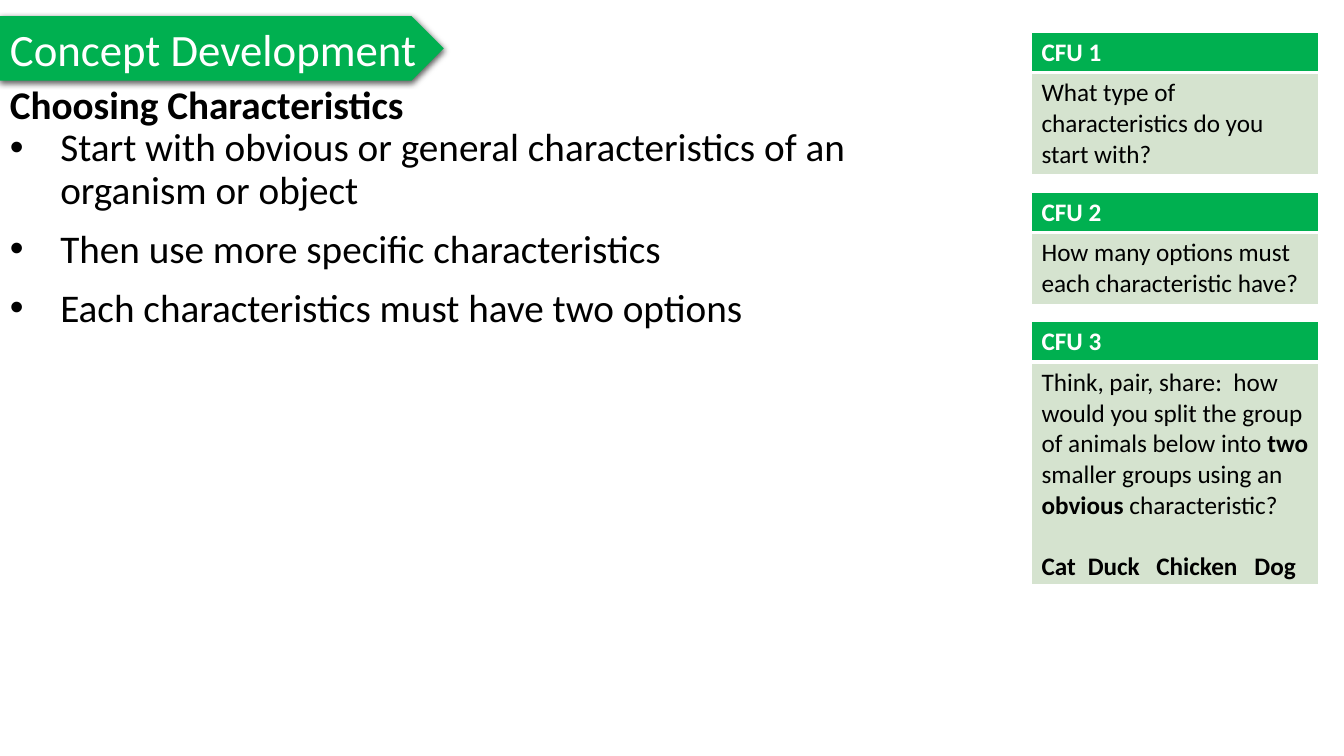
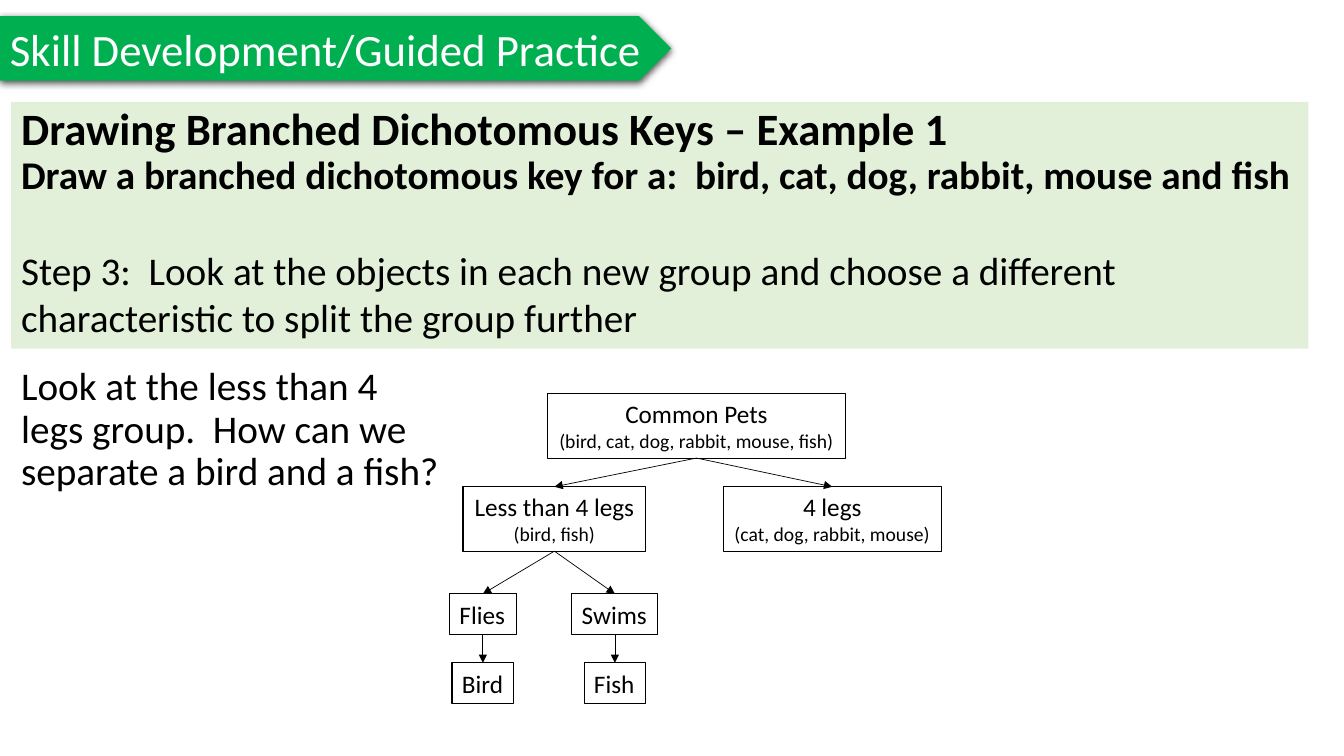
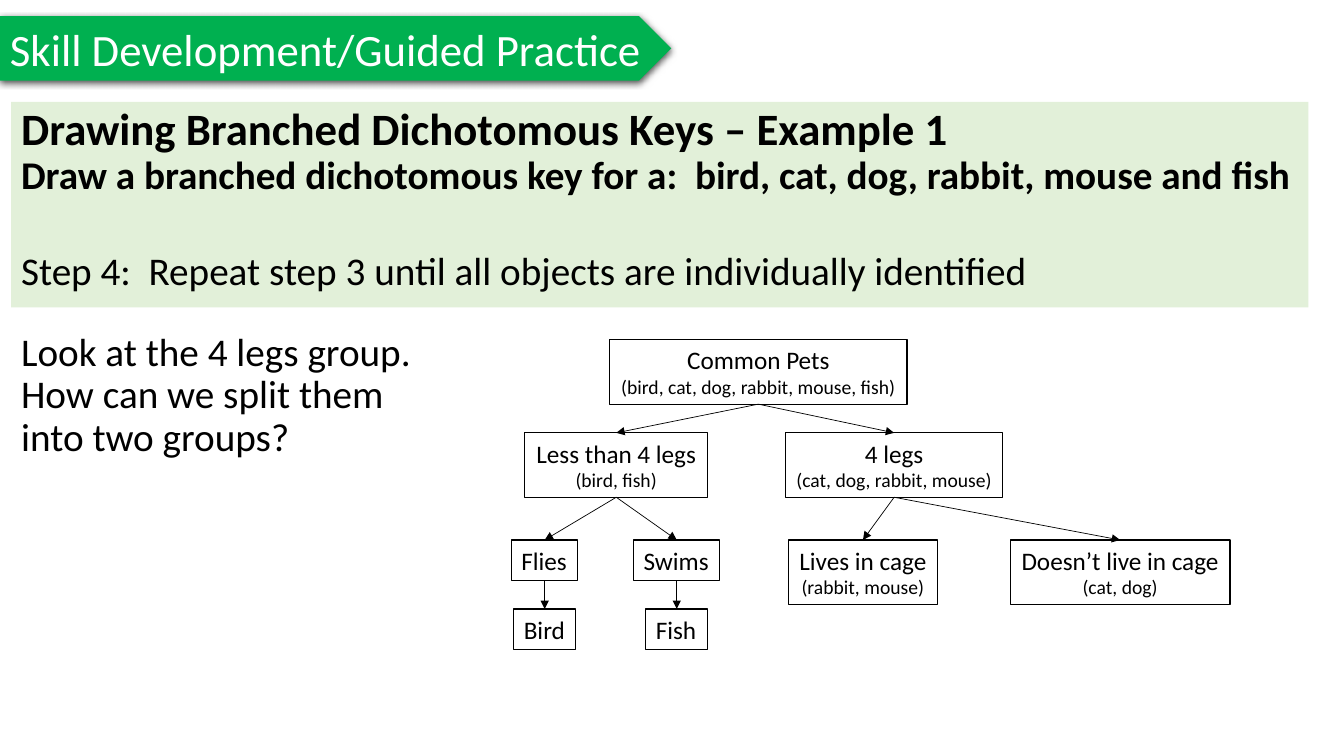
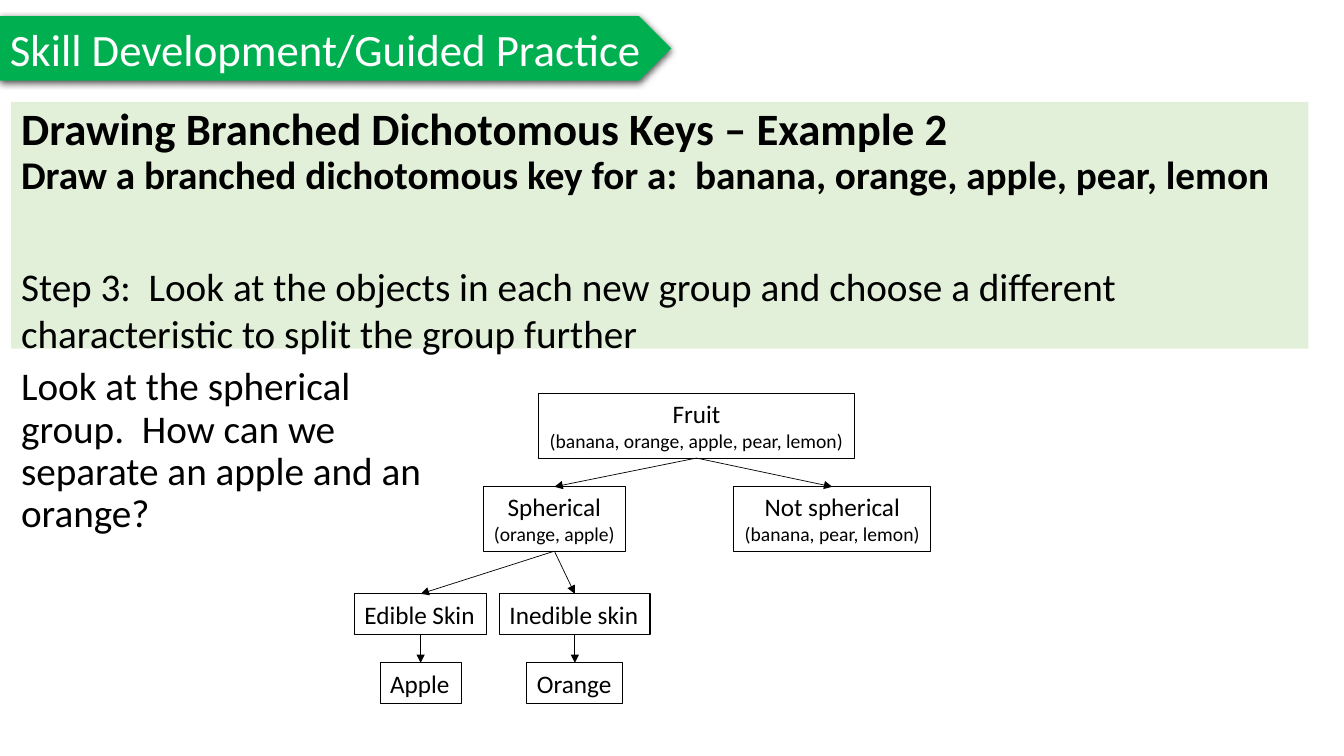
"""Build four lesson slides on branched dichotomous keys."""
from dataclasses import dataclass
from typing import Optional

from lxml.etree import SubElement
from pptx import Presentation
from pptx.dml.color import RGBColor
from pptx.enum.shapes import MSO_CONNECTOR as Connector, MSO_SHAPE as Shape
from pptx.enum.text import MSO_ANCHOR as Anchor, MSO_AUTO_SIZE as AutoSize, PP_ALIGN as Align
from pptx.oxml.ns import qn
from pptx.util import Pt

COLORS = {"green": "00B050", "panel": "E2F0D9", "cell": "D5E3CF",
          "black": "000000", "white": "FFFFFF"}
FONT = "Calibri"
LEVEL_TOPS = (0, 66.5, 143, 192.3)
MARGIN = 8
PANEL_TOP = 72.7
CARD_LEFT, CARD_WIDTH, HEADER_HEIGHT = 736.8, 205, 28


@dataclass(frozen=True)
class Node:
    label: str
    detail: str
    offset: float
    width: float
    level: int
    parent: Optional[int] = None


@dataclass(frozen=True)
class Card:
    heading: str
    body: str
    top: float
    height: float
    items: tuple[str, ...] = ()


@dataclass(frozen=True)
class Practice:
    example: int
    objects: str
    step: str
    step_gap: float
    panel_height: float
    question: str
    question_top: float
    tree_center: float
    tree_top: float
    nodes: tuple[Node, ...]


PETS = (
    Node("Common Pets", "(bird, cat, dog, rabbit, mouse, fish)", 0, 212.4, 0),
    Node("Less than 4 legs", "(bird, fish)", -101.5, 130.5, 1, 0),
    Node("4 legs", "(cat, dog, rabbit, mouse)", 97, 155.5, 1, 0),
    Node("Flies", "", -152.6, 47.5, 2, 1),
    Node("Swims", "", -58.3, 61.5, 2, 1),
    Node("Bird", "", -152.6, 44, 3, 3),
    Node("Fish", "", -58.3, 44, 3, 4),
)
CAGES = (
    Node("Lives in cage", "(rabbit, mouse)", 74.7, 106.7, 2, 2),
    Node("Doesn’t live in cage", "(cat, dog)", 258.4, 157, 2, 2),
)
FRUIT = (
    Node("Fruit", "(banana, orange, apple, pear, lemon)", 0, 226.3, 0),
    Node("Spherical", "(orange, apple)", -101.5, 101.7, 1, 0),
    Node("Not spherical", "(banana, pear, lemon)", 97, 141, 1, 0),
    Node("Edible Skin", "", -197, 94.5, 2, 1),
    Node("Inedible skin", "", -86.9, 107.5, 2, 1),
    Node("Apple", "", -197, 57.8, 3, 3),
    Node("Orange", "", -86.9, 68.4, 3, 4),
)
PET_LIST = "bird, cat, dog, rabbit, mouse and fish"
SPLIT_STEP = ("Step 3:  Look at the objects in each new group and choose a different "
              "characteristic to split the group further")
PRACTICES = (
    Practice(1, PET_LIST, SPLIT_STEP, 35, 176.4,
             "Look at the less than 4 legs group.  How can we separate a bird and a fish?",
             258.5, 497.5, 281.2, PETS),
    Practice(1, PET_LIST, "Step 4:  Repeat step 3 until all objects are individually identified",
             35, 146.9, "Look at the 4 legs group.  How can we split them into two groups?",
             234, 541.7, 242.7, PETS + CAGES),
    Practice(2, "banana, orange, apple, pear, lemon", SPLIT_STEP, 46, 176.4,
             "Look at the spherical group.  How can we separate an apple and an orange?",
             258.5, 497.5, 281.2, FRUIT),
)
CARDS = (
    Card("CFU 1", "What type of characteristics do you start with?", 23, 100.8),
    Card("CFU 2", "How many options must each characteristic have?", 137.3, 79.2),
    Card("CFU 3", "Think, pair, share:  how would you split the group of animals below into "
         "*two* smaller groups using an *obvious* characteristic?", 229.9, 187.2,
         ("Cat", "Duck", "Chicken", "Dog")),
)
ITEM_TABS = (33, 82, 152)
POINTS = (
    "Start with obvious or general characteristics of an organism or object",
    "Then use more specific characteristics",
    "Each characteristics must have two options",
)


def color(name: str) -> RGBColor:
    return RGBColor.from_string(COLORS[name])


def add_text(frame, text: str, *, size: float, bold: bool = False, ink: str = "black",
             align=Align.LEFT, spacing: Optional[float] = None, before: float = 0,
             after: float = 0, bullet: bool = False, tabs: tuple[float, ...] = ()) -> None:
    paragraph = frame.add_paragraph() if frame.text else frame.paragraphs[0]
    properties = paragraph._p.get_or_add_pPr()
    if bullet:
        properties.set("marL", str(Pt(36)))
        properties.set("indent", str(-Pt(36)))
        SubElement(properties, qn("a:buFont"), typeface="Arial")
        SubElement(properties, qn("a:buChar"), char="•")
    if tabs:
        stops = SubElement(properties, qn("a:tabLst"))
        for position in tabs:
            SubElement(stops, qn("a:tab"), pos=str(Pt(position)), algn="l")
    paragraph.alignment = align
    if spacing:
        paragraph.line_spacing = spacing
    if before:
        paragraph.space_before = Pt(before)
    if after:
        paragraph.space_after = Pt(after)
    for index, part in enumerate(text.split("*")):
        run = paragraph.add_run()
        run.text = part
        run.font.name = FONT
        run.font.size = Pt(size)
        run.font.bold = bold or index % 2 == 1
        run.font.color.rgb = color(ink)


def add_box(slide, kind, left: float, top: float, width: float, height: float, *,
            fill: Optional[str] = None, line: Optional[str] = None,
            anchor=Anchor.MIDDLE, fit: bool = False):
    shape = slide.shapes.add_shape(kind, Pt(left), Pt(top), Pt(width), Pt(height))
    shape.shadow.inherit = False
    if fill:
        shape.fill.solid()
        shape.fill.fore_color.rgb = color(fill)
    else:
        shape.fill.background()
    if line:
        shape.line.color.rgb = color(line)
        shape.line.width = Pt(0.75)
    else:
        shape.line.fill.background()
    frame = shape.text_frame
    frame.vertical_anchor = anchor
    frame.word_wrap = not fit
    if fit:
        frame.auto_size = AutoSize.SHAPE_TO_FIT_TEXT
    return shape


def add_text_box(slide, left: float, top: float, width: float, height: float):
    frame = slide.shapes.add_textbox(Pt(left), Pt(top), Pt(width), Pt(height)).text_frame
    frame.word_wrap = True
    return frame


def add_title(slide, text: str, width: float) -> None:
    shape = add_box(slide, Shape.PENTAGON, 0, 11.6, width, 46, fill="green", fit=True)
    effects = shape._element.spPr.find(qn("a:effectLst"))
    shadow = SubElement(effects, qn("a:outerShdw"), blurRad=str(Pt(4.5)), dist=str(Pt(1.5)),
                        dir="5400000", algn="t", rotWithShape="0")
    tone = SubElement(shadow, qn("a:srgbClr"), val=COLORS["black"])
    SubElement(tone, qn("a:alpha"), val="63000")
    add_text(shape.text_frame, text, size=32, ink="white")


def style_cell(cell, fill: str, top: float, bottom: float) -> None:
    cell.fill.solid()
    cell.fill.fore_color.rgb = color(fill)
    properties = cell._tc.get_or_add_tcPr()
    for index, (side, width) in enumerate((("L", 1), ("R", 1), ("T", top), ("B", bottom))):
        border = SubElement(properties, qn(f"a:ln{side}"), w=str(Pt(width)))
        paint = SubElement(border, qn("a:solidFill"))
        SubElement(paint, qn("a:srgbClr"), val=COLORS["white"])
        properties.insert(index, border)


def add_card(slide, card: Card) -> None:
    table = slide.shapes.add_table(2, 1, Pt(CARD_LEFT), Pt(card.top),
                                   Pt(CARD_WIDTH), Pt(card.height)).table
    table.rows[0].height = Pt(HEADER_HEIGHT)
    table.rows[1].height = Pt(card.height - HEADER_HEIGHT)
    header, body = table.cell(0, 0), table.cell(1, 0)
    style_cell(header, "green", 1, 3)
    style_cell(body, "cell", 3, 1)
    add_text(header.text_frame, card.heading, size=18, bold=True, ink="white")
    add_text(body.text_frame, card.body, size=18)
    if card.items:
        add_text(body.text_frame, "\t".join(card.items), size=18, bold=True,
                 before=22, tabs=ITEM_TABS)


def add_arrow(slide, parent, child) -> None:
    arrow = slide.shapes.add_connector(Connector.STRAIGHT, 0, 0, 0, 0)
    arrow.begin_connect(parent, 2)
    arrow.end_connect(child, 0)
    arrow.line.color.rgb = color("black")
    arrow.line.width = Pt(0.5)
    SubElement(arrow.line._get_or_add_ln(), qn("a:tailEnd"), type="triangle")
    SubElement(arrow._element.spPr, qn("a:effectLst"))


def add_tree(slide, nodes: tuple[Node, ...], center: float, top: float) -> None:
    shapes = []
    for node in nodes:
        shape = add_box(slide, Shape.RECTANGLE, center + node.offset - node.width / 2,
                        top + LEVEL_TOPS[node.level], node.width, 46 if node.detail else 29,
                        line="black", anchor=Anchor.TOP, fit=True)
        align = Align.CENTER if node.detail else Align.LEFT
        add_text(shape.text_frame, node.label, size=18, align=align)
        if node.detail:
            add_text(shape.text_frame, node.detail, size=14, align=align)
        shapes.append(shape)
        if node.parent is not None:
            add_arrow(slide, shapes[node.parent], shape)


def build_concept(slide) -> None:
    add_title(slide, "Concept Development", 317)
    for card in CARDS:
        add_card(slide, card)
    frame = add_text_box(slide, 0, 57.6, 635.8, 187)
    add_text(frame, "Choosing Characteristics", size=28, bold=True, spacing=0.9)
    for point in POINTS:
        add_text(frame, point, size=28, spacing=0.9, after=12, bullet=True)


def build_practice(slide, practice: Practice) -> None:
    add_title(slide, "Skill Development/Guided Practice", 479.5)
    panel = add_box(slide, Shape.RECTANGLE, MARGIN, PANEL_TOP, 926.6, practice.panel_height,
                    fill="panel", anchor=Anchor.TOP).text_frame
    add_text(panel, f"Drawing Branched Dichotomous Keys – Example {practice.example}",
             size=32, bold=True, spacing=0.9)
    add_text(panel, f"Draw a branched dichotomous key for a:  {practice.objects}",
             size=28, bold=True, spacing=0.9)
    add_text(panel, practice.step, size=28, before=practice.step_gap, after=12)
    question = add_text_box(slide, MARGIN, practice.question_top, 317.5, 180)
    add_text(question, practice.question, size=28, spacing=0.9, after=12)
    add_tree(slide, practice.nodes, practice.tree_center, practice.tree_top)


def main() -> None:
    presentation = Presentation()
    presentation.slide_width, presentation.slide_height = Pt(960), Pt(540)
    blank = presentation.slide_layouts[6]
    build_concept(presentation.slides.add_slide(blank))
    for practice in PRACTICES:
        build_practice(presentation.slides.add_slide(blank), practice)
    presentation.save("out.pptx")


if __name__ == "__main__":
    main()
